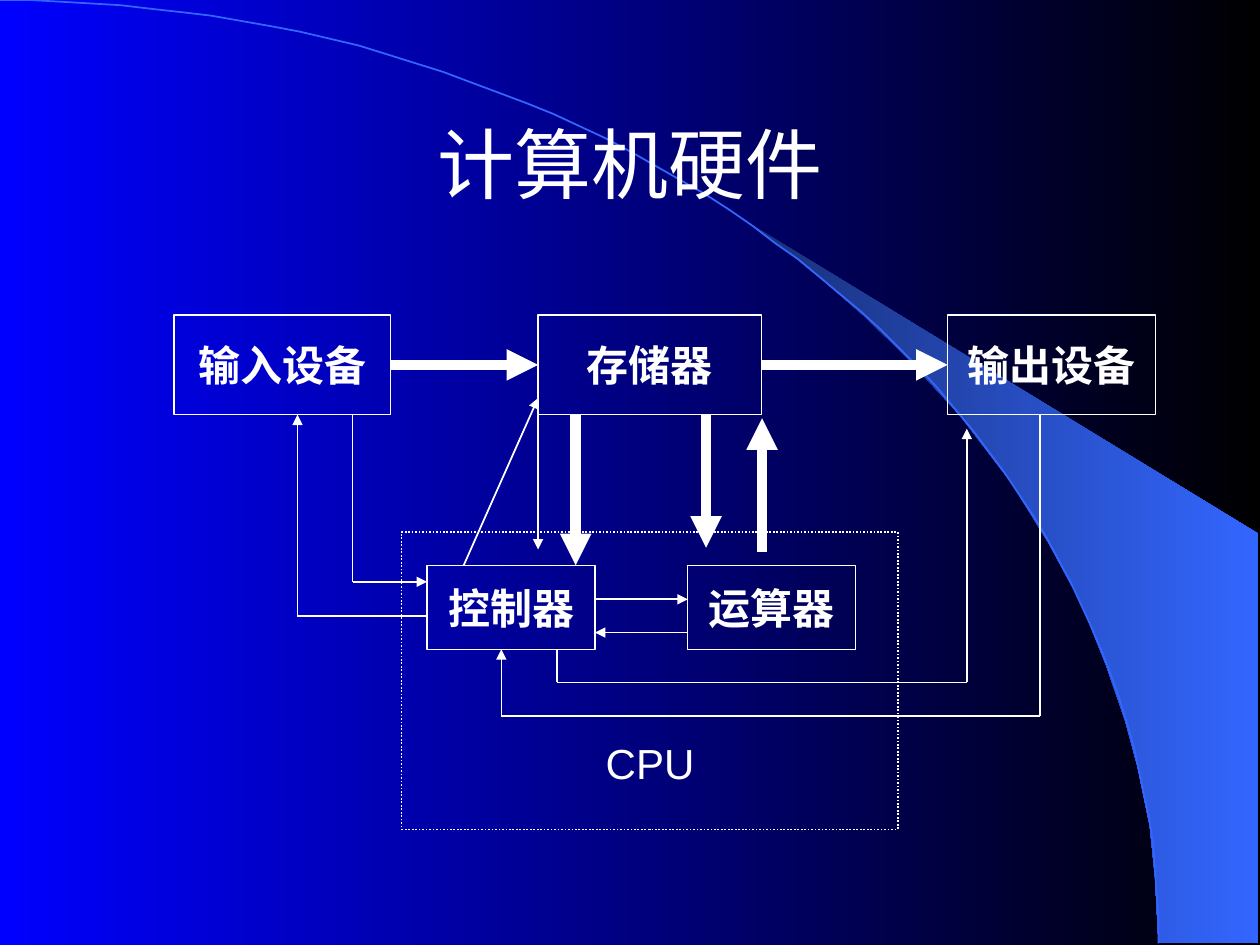
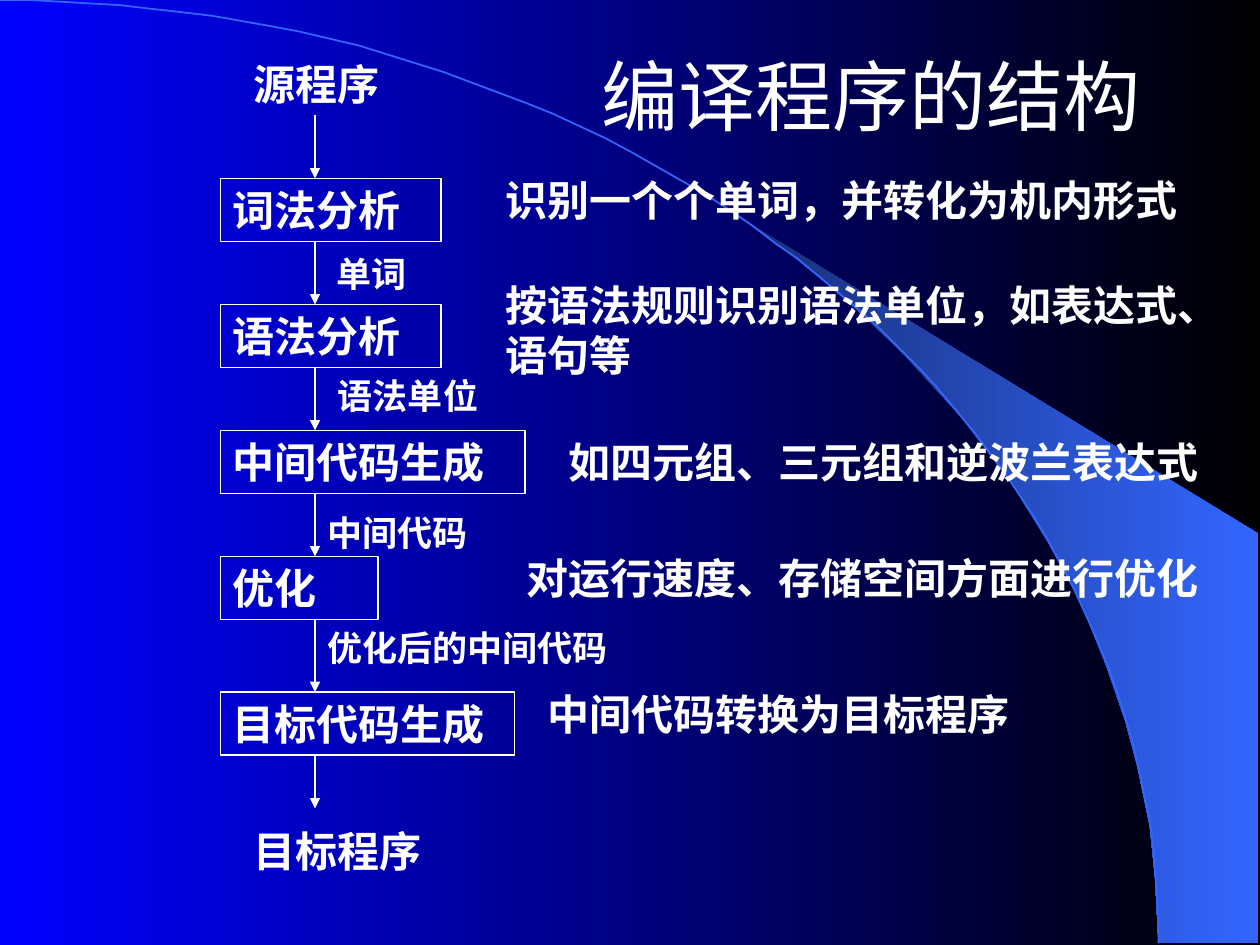
from itertools import pairwise
from math import cos, pi, sin

from lxml import etree
from pptx import Presentation
from pptx.dml.color import RGBColor
from pptx.enum.dml import MSO_LINE
from pptx.enum.shapes import MSO_CONNECTOR, MSO_SHAPE
from pptx.enum.text import MSO_ANCHOR, PP_ALIGN
from pptx.oxml.ns import qn
from pptx.util import Pt

STRAIGHT = MSO_CONNECTOR.STRAIGHT
RECTANGLE = MSO_SHAPE.RECTANGLE
MIDDLE = MSO_ANCHOR.MIDDLE
LEFT, CENTER = PP_ALIGN.LEFT, PP_ALIGN.CENTER
DOTTED = MSO_LINE.ROUND_DOT
LEFT_SIDE, RIGHT_SIDE = 1, 3

WHITE, BLUE, BLACK = "FFFFFF", "0000FF", "000000"
NAVY, ARC_BLUE = "182F76", "3366FF"
HEADING_FONT, BODY_FONT = "Arial", "Times New Roman"
THIN, MEDIUM, THICK = 0.75, 1, 6

BAND_OUTLINE = [
    (662.4, 538.6), (719.3, 539.3), (719.3, 304.6), (424.1, 124.6),
    (449.3, 143.3), (470.2, 159.8), (493.2, 180), (515.5, 201.6),
    (548.6, 237.6), (578.2, 276.5), (599, 310.3), (617.8, 344.9),
    (632.2, 380.2), (643, 411.8), (650.2, 438.5), (657.4, 472.3),
    (660.2, 501.1),
]
ARC_WIDTH, ARC_HEIGHT, ARC_STEPS = 662.4, 539.3, 60


def color(hex_code):
    return RGBColor.from_string(hex_code)


def set_gradient(fill, start, end):
    fill.gradient()
    fill.gradient_angle = 0
    for stop, hex_code in zip(fill.gradient_stops, (start, end)):
        stop.color.rgb = color(hex_code)


def set_line(shape, width, hex_code=WHITE):
    shape.line.color.rgb = color(hex_code)
    shape.line.width = Pt(width)


def write_text(shape, text, size=24, font=BODY_FONT, bold=True, align=LEFT):
    frame = shape.text_frame
    frame.word_wrap = True
    frame.vertical_anchor = MIDDLE
    paragraph = frame.paragraphs[0]
    paragraph.text = text
    paragraph.alignment = align
    paragraph.font.size = Pt(size)
    paragraph.font.name = font
    paragraph.font.bold = bold
    paragraph.font.color.rgb = color(WHITE)


def add_text(page, text, left, top, width, height, **style):
    box = page.shapes.add_textbox(Pt(left), Pt(top), Pt(width), Pt(height))
    write_text(box, text, **style)


def add_title(page, text, left, top, width, height):
    add_text(page, text, left, top, width, height,
             size=44, font=HEADING_FONT, bold=False, align=CENTER)


def add_frame(page, left, top, width, height, line_width=THIN):
    box = page.shapes.add_shape(
        RECTANGLE, Pt(left), Pt(top), Pt(width), Pt(height))
    box.shadow.inherit = False
    box.fill.background()
    set_line(box, line_width)
    return box


def add_box(page, text, left, top, width, height, align=CENTER):
    box = add_frame(page, left, top, width, height)
    write_text(box, text, align=align)
    return box


def add_line(page, start, end, width=MEDIUM, arrow=True):
    line = page.shapes.add_connector(
        STRAIGHT, *(Pt(length) for length in (*start, *end)))
    set_line(line, width)
    properties = line._element.spPr
    if arrow:
        etree.SubElement(line.line._get_or_add_ln(), qn("a:tailEnd"),
                         type="triangle")
    etree.SubElement(properties, qn("a:effectLst"))
    return line


def add_route(page, *corners):
    for start, end in pairwise(corners):
        add_line(page, start, end, arrow=end == corners[-1])


def join_boxes(page, source, target):
    line = add_line(page, (0, 0), (0, 0), THICK)
    line.begin_connect(source, RIGHT_SIDE)
    line.end_connect(target, LEFT_SIDE)


def add_outline(page, points, close):
    builder = page.shapes.build_freeform(*points[0], scale=Pt(1))
    builder.add_line_segments(points[1:], close=close)
    outline = builder.convert_to_shape()
    outline.shadow.inherit = False
    return outline


def add_page(deck):
    page = deck.slides.add_slide(deck.slide_layouts[6])
    band = add_outline(page, BAND_OUTLINE, close=True)
    set_gradient(band.fill, NAVY, ARC_BLUE)
    band.line.fill.background()
    angles = [pi / 2 * step / ARC_STEPS for step in range(ARC_STEPS + 1)]
    arc = add_outline(page, [(ARC_WIDTH * sin(angle),
                              ARC_HEIGHT * (1 - cos(angle)))
                             for angle in angles], close=False)
    arc.fill.background()
    set_line(arc, MEDIUM, ARC_BLUE)
    return page


def build_hardware(deck):
    page = add_page(deck)
    add_title(page, "计算机硬件", 54, 48, 612, 90)

    device_top, device_height = 180, 57
    device_bottom = device_top + device_height
    unit_top, unit_width, unit_height = 323, 96, 48
    unit_bottom = unit_top + unit_height
    control_left, arithmetic_left = 244, 393
    control_right = control_left + unit_width

    input_box, memory_box, output_box = [
        add_box(page, text, left, device_top, width, device_height)
        for text, left, width in (("输入设备", 99.5, 123.5),
                                  ("存储器", 307.5, 127.5),
                                  ("输出设备", 541.5, 119))]
    for text, left in (("控制器", control_left), ("运算器", arithmetic_left)):
        add_box(page, text, left, unit_top, unit_width, unit_height)

    join_boxes(page, input_box, memory_box)
    join_boxes(page, memory_box, output_box)
    for x, start, end in ((329, device_bottom, unit_top),
                          (403.5, device_bottom, 313),
                          (435.5, 315.5, 239)):
        add_line(page, (x, start), (x, end), THICK)

    add_route(page, (307.5, device_bottom), (307.5, 314))
    add_route(page, (265, unit_top), (307.5, 227.5))
    add_route(page, (control_right, 342.5), (arithmetic_left, 342.5))
    add_route(page, (arithmetic_left, 361.5), (control_right, 361.5))
    add_route(page, (201.5, device_bottom), (201.5, 332.5),
              (control_left, 332.5))
    add_route(page, (control_left, 352), (170, 352), (170, device_bottom))
    add_route(page, (318.5, unit_bottom), (318.5, 390), (552.5, 390),
              (552.5, 245))
    add_route(page, (594.5, device_bottom), (594.5, 409), (286.5, 409),
              (286.5, unit_bottom))

    cpu_frame = add_frame(page, 229.5, 304, 283.5, 170, MEDIUM)
    cpu_frame.line.dash_style = DOTTED
    add_text(page, "CPU", 320.5, 418, 102, 36,
             font=HEADING_FONT, bold=False, align=CENTER)


def build_compiler(deck):
    page = add_page(deck)
    add_title(page, "编译程序的结构", 312, 24, 372, 60)

    row_height, arrow_x = 36, 180
    stages = [("词法分析", 102, 126), ("语法分析", 174, 126),
              ("中间代码生成", 246, 174), ("优化", 318, 90),
              ("目标代码生成", 395.5, 168)]
    for text, top, width in stages:
        add_box(page, text, 126, top, width, row_height, align=LEFT)

    tops = [top for _, top, _ in stages]
    starts = [66] + [top + row_height for top in tops]
    for start, end in zip(starts, tops + [462]):
        add_line(page, (arrow_x, start), (arrow_x, end), THIN)

    for text, top in (("源程序", 30), ("目标程序", 468)):
        add_text(page, text, 138, top, 114, row_height)

    for text, left, top, width in (("单词", 185, 140.5, 85),
                                   ("语法单位", 186, 210, 120),
                                   ("中间代码", 180, 288, 126),
                                   ("优化后的中间代码", 180, 354, 210)):
        add_text(page, text, left, top, width, 32, size=20)

    for text, left, top, width, height in (
            ("识别一个个单词，并转化为机内形式", 282, 96, 402, 36),
            ("按语法规则识别语法单位，如表达式、语句等", 282, 156, 438, 65),
            ("如四元组、三元组和逆波兰表达式", 318, 246, 402, 36),
            ("对运行速度、存储空间方面进行优化", 294, 312, 402, 36),
            ("中间代码转换为目标程序", 306, 390, 414, 36)):
        add_text(page, text, left, top, width, height)


def main():
    deck = Presentation()
    deck.slide_width, deck.slide_height = Pt(720), Pt(540)
    set_gradient(deck.slide_master.background.fill, BLUE, BLACK)
    build_hardware(deck)
    build_compiler(deck)
    deck.save("out.pptx")


if __name__ == "__main__":
    main()
